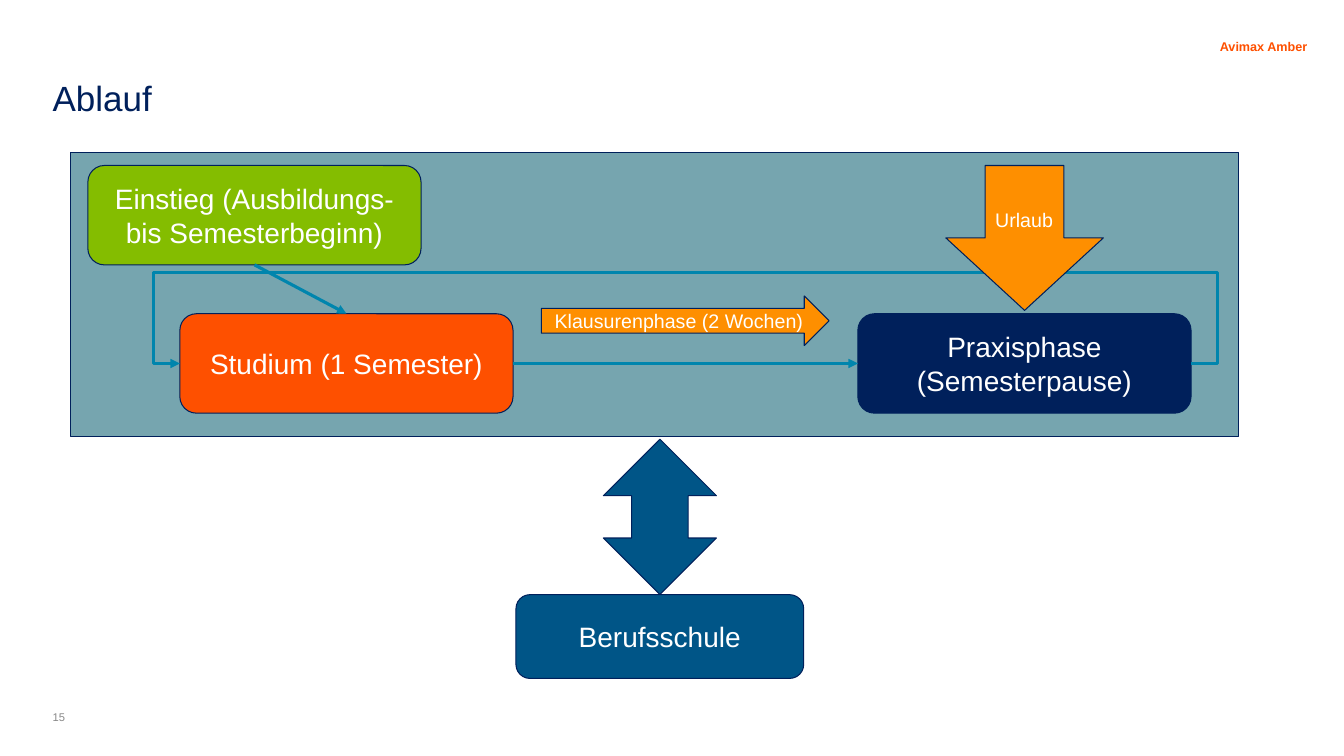
from lxml import etree
from pptx import Presentation
from pptx.dml.color import RGBColor
from pptx.enum import shapes, text
from pptx.oxml import ns
from pptx.util import Pt

HUES = {
    "navy": "00205B", "steel": "76A5AF", "green": "84BD00", "red": "FE5000",
    "amber": "FE8F00", "blue": "005587", "teal": "0085AD", "grey": "888888",
    "white": "FFFFFF",
}
KIND = shapes.MSO_SHAPE
ALIGN = text.PP_ALIGN


class Deck:
    """Style and current slide, with a method for each kind of element."""

    font = "Arial"
    edge = 0.75
    flow = 2.25
    pad = 7.2

    def __init__(self, wide, high):
        self.prs = Presentation()
        self.prs.slide_width, self.prs.slide_height = Pt(wide), Pt(high)
        self.page = self.prs.slides.add_slide(self.prs.slide_layouts[5])
        self.items = self.page.shapes

    def hue(self, name):
        return RGBColor.from_string(HUES[name])

    def letter(self, item, words, size, hue, align, pad=0, bold=False, lead=None):
        frame = item.text_frame
        frame.text = words
        frame.word_wrap = True
        frame.auto_size = text.MSO_AUTO_SIZE.NONE
        frame.margin_left = frame.margin_right = Pt(pad)
        frame.margin_top = frame.margin_bottom = Pt(pad)
        frame.vertical_anchor = text.MSO_ANCHOR.MIDDLE if pad else text.MSO_ANCHOR.TOP
        line = frame.paragraphs[0]
        line.alignment, line.line_spacing = align, lead
        font = line.font
        font.name, font.size, font.bold = self.font, Pt(size), bold
        font.color.rgb = self.hue(hue)

    def title(self, words, x, y, w, h):
        item = self.items.title
        item.left, item.top, item.width, item.height = map(Pt, (x, y, w, h))
        self.letter(item, words, 25, "navy", ALIGN.LEFT, lead=1.1)

    def label(self, words, x, y, w, h, size, hue, align=ALIGN.LEFT, bold=False, lead=None):
        item = self.items.add_textbox(*map(Pt, (x, y, w, h)))
        self.letter(item, words, size, hue, align, bold=bold, lead=lead)

    def shape(self, kind, hue, x, y, w, h, words="", size=20, align=ALIGN.CENTER):
        item = self.items.add_shape(kind, *map(Pt, (x, y, w, h)))
        item.shadow.inherit = False
        item.fill.solid()
        item.fill.fore_color.rgb = self.hue(hue)
        item.line.color.rgb = self.hue("navy")
        item.line.width = Pt(self.edge)
        if words:
            self.letter(item, words, size, "white", align, self.pad)
        return item

    def arrow(self, item):
        item.line.color.rgb = self.hue("teal")
        item.line.width = Pt(self.flow)
        stroke = item._element.spPr.find(ns.qn("a:ln"))
        etree.SubElement(stroke, ns.qn("a:tailEnd"), type="triangle")

    def link(self, start, exit_site, end, entry_site):
        item = self.items.add_connector(shapes.MSO_CONNECTOR.STRAIGHT, 0, 0, 0, 0)
        item.begin_connect(start, exit_site)
        item.end_connect(end, entry_site)
        self.arrow(item)
        etree.SubElement(item._element.spPr, ns.qn("a:effectLst"))

    def loop(self, start, end, top, out):
        mid = start.top + start.height // 2
        right, left = start.left + start.width, end.left
        far, near = right + Pt(out), left - Pt(out)
        pen = self.items.build_freeform(right, mid)
        pen.add_line_segments(
            [(far, mid), (far, Pt(top)), (near, Pt(top)), (near, mid), (left, mid)],
            close=False)
        item = pen.convert_to_shape()
        item.shadow.inherit = False
        item.fill.background()
        self.arrow(item)


def main():
    deck = Deck(960, 540)
    deck.label("Avimax Amber", 866, 26.6, 73, 11.5, 9, "red", ALIGN.CENTER, True, 1.13)
    deck.shape(KIND.RECTANGLE, "steel", 50.4, 108.8, 834.5, 203)
    deck.label("15", 37.6, 507.6, 22.3, 17.3, 8, "grey")
    deck.title("Ablauf", 37.6, 51.8, 884, 70.6)

    size = 238, 71
    top, row = 118.2, 224.1
    box = KIND.ROUNDED_RECTANGLE
    entry = deck.shape(box, "green", 62.8, top, *size,
                       "Einstieg (Ausbildungs- bis Semesterbeginn)")
    study = deck.shape(box, "red", 128.5, row, *size, "Studium (1 Semester)")
    work = deck.shape(box, "navy", 612.8, row, *size, "Praxisphase (Semesterpause)")
    deck.link(entry, 2, study, 0)
    deck.link(study, 3, work, 1)
    deck.loop(work, study, 194.5, 18.8)

    deck.shape(KIND.RIGHT_ARROW, "amber", 386.7, 211.4, 205.5, 35.4,
               "Klausurenphase (2 Wochen)", 14)
    deck.shape(KIND.DOWN_ARROW, "amber", 675.6, top, 112.5, 103.5,
               "Urlaub", 14, ALIGN.LEFT)
    deck.shape(KIND.UP_DOWN_ARROW, "blue", 431, 313.7, 80.8, 111)
    deck.shape(box, "blue", 368.6, 424.8, 205.5, 59.8, "Berufsschule")
    deck.prs.save("out.pptx")


if __name__ == "__main__":
    main()
